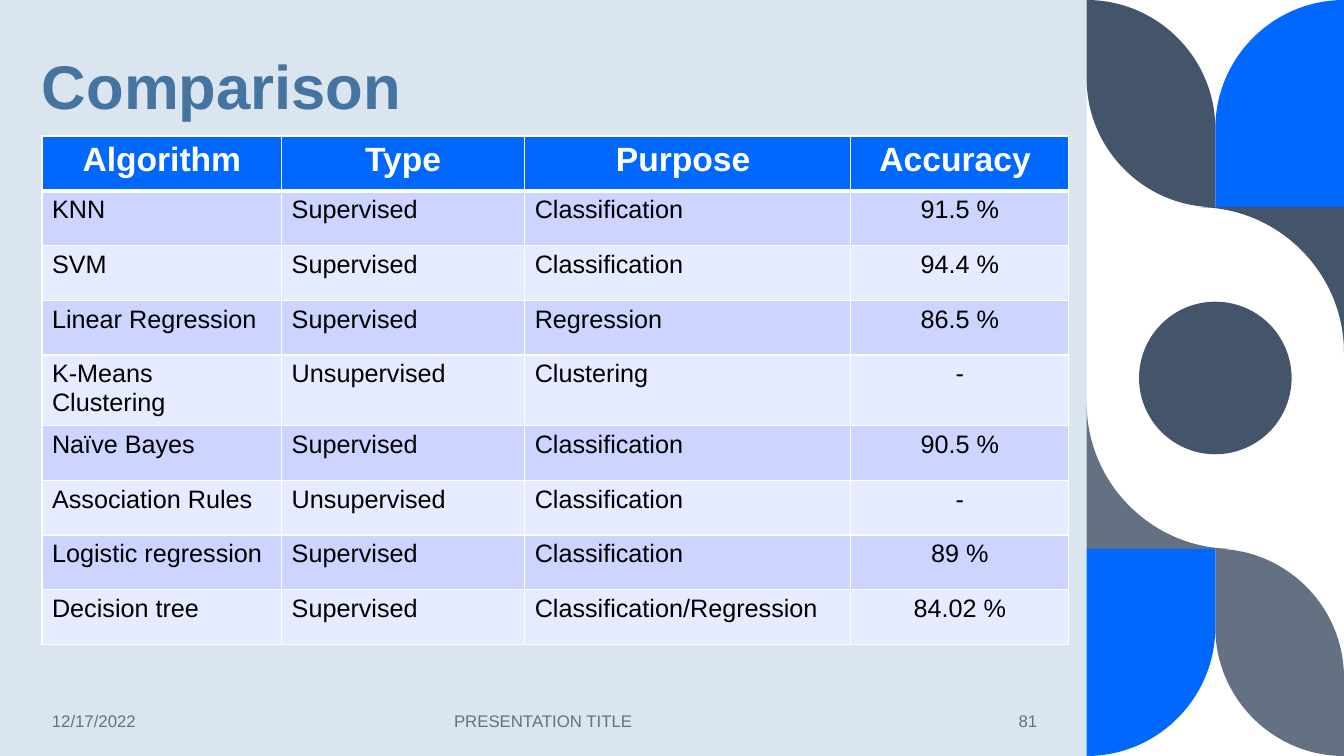
import pptx
import pptx.dml.color
import pptx.enum.shapes
import pptx.enum.text
import pptx.oxml
import pptx.oxml.ns
import pptx.util

Pt = pptx.util.Pt
ALIGN = pptx.enum.text.PP_ALIGN
ANCHOR = pptx.enum.text.MSO_ANCHOR
SHAPE = pptx.enum.shapes.MSO_SHAPE

WHITE, BLACK, BLUE = "FFFFFF", "000000", "0068FF"
NAVY, SLATE, TITLE_BLUE, PALE = "44546A", "637183", "4574A0", "DAE5EF"
BANDS = ("CCD4FF", "E7EBFF")

ROWS = [
    ("Algorithm", "Type", "Purpose ", "Accuracy "),
    ("KNN", "Supervised", "Classification", "91.5 %"),
    ("SVM", "Supervised", "Classification", "94.4 %"),
    ("Linear Regression", "Supervised", "Regression", "86.5 %"),
    ("K-Means Clustering", "Unsupervised", "Clustering", "-"),
    ("Naïve Bayes", "Supervised", "Classification", "90.5 %"),
    ("Association Rules", "Unsupervised", "Classification", "-"),
    ("Logistic regression", "Supervised", "Classification", "89 %"),
    ("Decision tree", "Supervised", "Classification/Regression", "84.02 %"),
]
COLUMN_WIDTHS = (171.2, 173.6, 233, 155.6)


def rgb(hex_string):
    return pptx.dml.color.RGBColor.from_string(hex_string)


def paint(shape, color):
    shape.shadow.inherit = False
    shape.fill.solid()
    shape.fill.fore_color.rgb = rgb(color)
    shape.line.fill.background()


def style(paragraph, size, color, align=ALIGN.LEFT, bold=False):
    paragraph.alignment = align
    font = paragraph.font
    font.name, font.size, font.bold = "Arial", Pt(size), bold
    font.color.rgb = rgb(color)


def add_preset(slide, kind, box, color):
    paint(slide.shapes.add_shape(kind, *map(Pt, box)), color)


def add_text(slide, box, text, size, color, align=ALIGN.LEFT, bold=False, anchor=ANCHOR.MIDDLE):
    frame = slide.shapes.add_textbox(*map(Pt, box)).text_frame
    frame.word_wrap = True
    frame.vertical_anchor = anchor
    frame.text = text
    style(frame.paragraphs[0], size, color, align, bold)
    return frame


def quarter(start, corner, end):
    """Bezier points of a quarter circle that bends towards corner."""
    bend = 0.55
    controls = [tuple(p + bend * (q - p) for p, q in zip(point, corner)) for point in (start, end)]
    return [start, *controls, end]


def add_outline(slide, points, curve_starts, color):
    """Closed outline; the three points after each curve start form one curve."""
    corners = [(Pt(x), Pt(y)) for x, y in points]
    builder = slide.shapes.build_freeform(*corners[0])
    builder.add_line_segments(corners[1:], close=True)
    shape = builder.convert_to_shape()
    segments = shape._element.findall(".//" + pptx.oxml.ns.qn("a:lnTo"))
    for start in curve_starts:
        first, *others = segments[start:start + 3]
        curve = pptx.oxml.parse_xml(f'<a:cubicBezTo {pptx.oxml.ns.nsdecls("a")}/>')
        first.addprevious(curve)
        for segment in (first, *others):
            curve.append(segment[0])
            segment.getparent().remove(segment)
    paint(shape, color)


def add_pattern(slide, left, top, width, height):
    half, tile, sweep = width / 2, 148, 104
    shoulder = tile - half
    leaf = (quarter((0, 0), (half, 0), (half, half))
            + quarter((half, tile), (0, tile), (0, shoulder)))
    spandrel = quarter((width - sweep, tile), (width, tile), (width, tile + sweep)) + [(width, tile)]
    arch = quarter((width, 0), (half, 0), (half, half)) + [(half, tile), (width, tile)]

    # The lower half is the upper half turned by 180 degrees
    for turned, shade in ((False, NAVY), (True, SLATE)):
        for outline, curve_starts, color in (
                (leaf, (0, 4), shade), (spandrel, (0,), shade), (arch, (0,), BLUE)):
            if turned:
                outline = [(width - x, height - y) for x, y in outline]
            add_outline(slide, [(left + x, top + y) for x, y in outline], curve_starts, color)

    # Disc in the centre
    disc = 109
    add_preset(slide, SHAPE.OVAL, (left + half - disc / 2, top + (height - disc) / 2, disc, disc), NAVY)


def set_borders(cell, top, bottom):
    properties = cell._tc.get_or_add_tcPr()
    for side, width in (("L", 1), ("R", 1), ("T", top), ("B", bottom)):
        properties.append(pptx.oxml.parse_xml(
            f'<a:ln{side} {pptx.oxml.ns.nsdecls("a")} w="{Pt(width)}"><a:solidFill>'
            f'<a:srgbClr val="{WHITE}"/></a:solidFill></a:ln{side}>'))


def add_comparison(slide, left, top, width, height):
    table = slide.shapes.add_table(
        len(ROWS), len(COLUMN_WIDTHS), Pt(left), Pt(top), Pt(width), Pt(height)).table
    table.horz_banding = False
    for column, column_width in zip(table.columns, COLUMN_WIDTHS):
        column.width = Pt(column_width)
    for r, values in enumerate(ROWS):
        table.rows[r].height = Pt(height / len(ROWS))
        header = r == 0
        for c, value in enumerate(values):
            cell = table.cell(r, c)
            cell.text = value
            set_borders(cell, 3 if r == 1 else 1, 3 if header else 1)
            cell.fill.solid()
            cell.fill.fore_color.rgb = rgb(BLUE if header else BANDS[(r - 1) % 2])
            centered = header or c == len(values) - 1
            paragraph = cell.text_frame.paragraphs[0]
            style(paragraph, 24 if header else 18, WHITE if header else BLACK,
                  ALIGN.CENTER if centered else ALIGN.LEFT, header)
            # Row heights follow the font of the run
            paragraph.runs[0].font.name = "Arial"


def add_title(slide, left, top, width, height):
    frame = add_text(slide, (left, top, width, height), "Comparison", 44, TITLE_BLUE,
                     bold=True, anchor=ANCHOR.BOTTOM)
    frame.margin_left = 0
    frame.paragraphs[0].line_spacing = 0.9


def add_footer(slide, left, top, width, height):
    add_text(slide, (left, top, 124, height), "12/17/2022", 12, SLATE)
    add_text(slide, (left + 196, top, 324, height), "PRESENTATION TITLE", 12, SLATE, ALIGN.CENTER)
    add_text(slide, (left + width - 92, top, 92, height), "81", 12, SLATE, ALIGN.RIGHT)


def main():
    deck = pptx.Presentation()
    deck.slide_width, deck.slide_height = Pt(960), Pt(540)
    slide = deck.slides.add_slide(deck.slide_layouts[6])
    slide.background.fill.solid()
    slide.background.fill.fore_color.rgb = rgb(WHITE)

    # Panel and side pattern
    panel_width, margin = 776.2, 30
    add_preset(slide, SHAPE.RECTANGLE, (0, 0, panel_width, 540), PALE)
    add_pattern(slide, panel_width, 0, 960 - panel_width, 540)

    # Content
    add_title(slide, margin, 30, 662, 61.5)
    add_footer(slide, margin, 500.5, 718, 29)
    add_comparison(slide, margin, 97.2, sum(COLUMN_WIDTHS), 39.1 * len(ROWS))

    deck.save("out.pptx")


if __name__ == "__main__":
    main()
